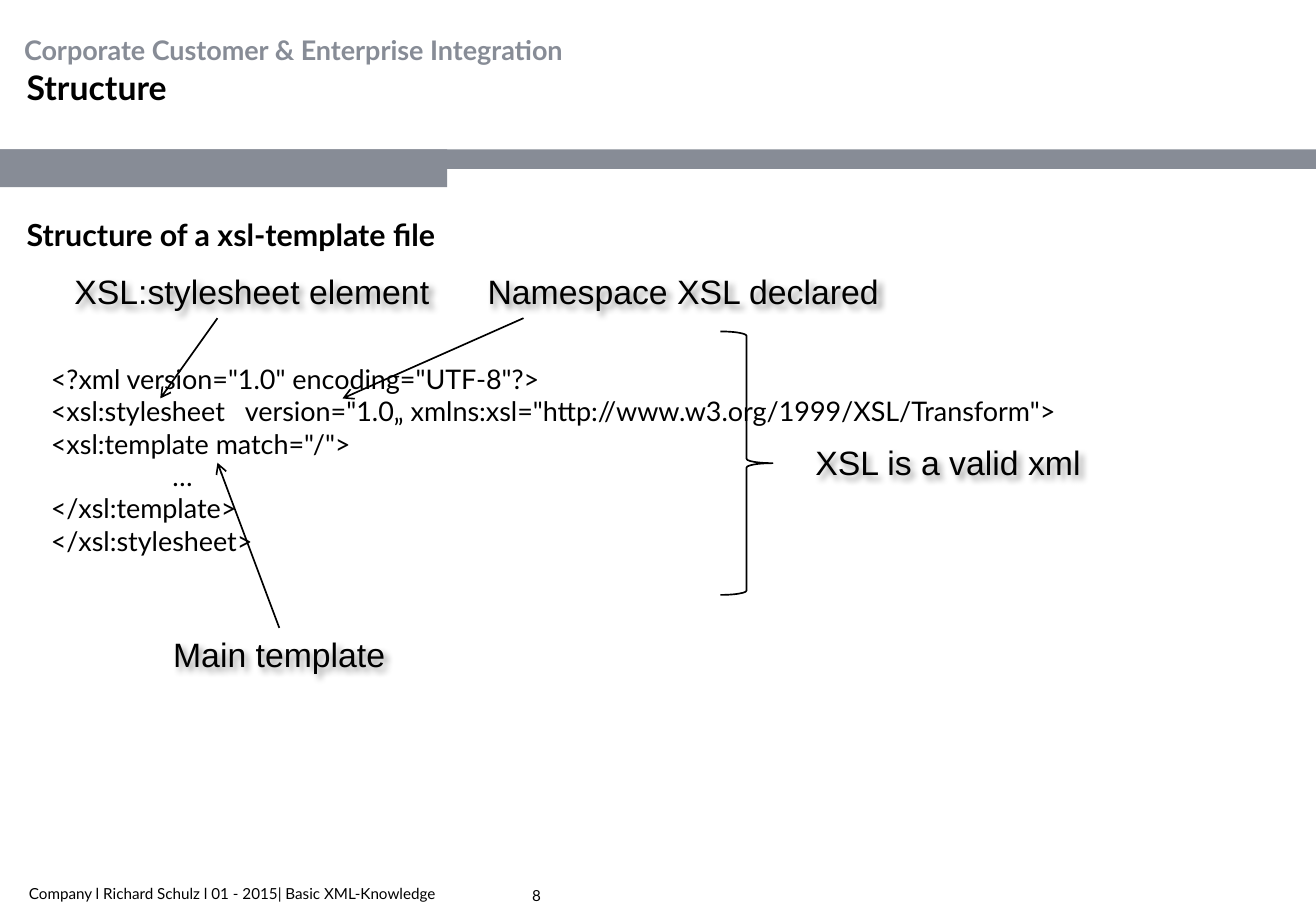
from lxml import etree
from pptx import Presentation
from pptx.dml.color import RGBColor
from pptx.enum.shapes import MSO_CONNECTOR, MSO_SHAPE
from pptx.enum.text import MSO_ANCHOR, PP_ALIGN
from pptx.oxml.ns import qn
from pptx.util import Pt

RECT, BRACE = MSO_SHAPE.RECTANGLE, MSO_SHAPE.RIGHT_BRACE
LINE = MSO_CONNECTOR.STRAIGHT
MIDDLE, CENTER = MSO_ANCHOR.MIDDLE, PP_ALIGN.CENTER
GREY, BLACK = RGBColor(0x87, 0x8C, 0x96), RGBColor(0, 0, 0)
WIDE, HIGH = 780, 540

# Content: boxes as left, top, width, height
BARS = [(0, 88.6, WIDE, 11.5), (0, 88.6, 265, 22.4)]
DEPT = "Corporate Customer & Enterprise Integration"
TITLE = "Structure"
HEAD = "Structure of a xsl-template file"
CODE = [
    '<?xml version="1.0" encoding="UTF-8"?>',
    '<xsl:stylesheet   version="1.0„ xmlns:xsl="http://www.w3.org/1999/XSL/Transform">',
    '<xsl:template match="/">',
    "…",
    "</xsl:template>",
    "</xsl:stylesheet>",
]
FOOTER = "Company l Richard Schulz l 01 - 2015| Basic XML-Knowledge"
PAGE = "8"
LABELS = {
    "XSL is a valid xml": (475.2, 258.5, 173.5, 31.5),
    "XSL:stylesheet element": (33.8, 157, 231.1, 31.5),
    "Namespace XSL declared": (280.8, 157, 248.4, 31.5),
    "Main template": (95, 372.2, 141.1, 31.5),
}
BRACKET = (427, 196.5, 31, 156.2)
# Arrows: from x, y, to x, y
ARROWS = [
    (165.6, 372.2, 128.9, 274.3),
    (128.9, 188.6, 95, 236.2),
    (310.3, 188.6, 203, 236.2),
]
STEP, DEEP = 14.4, 86.4  # indents of code and of its inner line

prs = Presentation()
prs.slide_width, prs.slide_height = Pt(WIDE), Pt(HIGH)
slide = prs.slides.add_slide(prs.slide_layouts[6])
shapes = slide.shapes


def style(par, size, name="Lato", color=BLACK, bold=False):
    font = par.font
    font.size, font.name, font.bold = Pt(size), name, bold
    font.color.rgb = color


def add_text(box, text, size, wrap=False, inset=True, **look):
    shape = shapes.add_textbox(*map(Pt, box))
    frame = shape.text_frame
    frame.word_wrap = wrap
    if not inset:
        frame.margin_left = frame.margin_right = 0
        frame.margin_top = frame.margin_bottom = 0
    par = frame.paragraphs[0]
    par.text = text
    style(par, size, **look)
    return shape


def add_glow(shape):
    """Soft shadow below the letters of an unfilled box."""
    effects = etree.SubElement(shape._element.spPr, qn("a:effectLst"))
    shade = etree.SubElement(effects, qn("a:outerShdw"), blurRad="50800",
                             dist="38100", dir="2700000", algn="tl")
    tint = etree.SubElement(shade, qn("a:srgbClr"), val=str(BLACK))
    etree.SubElement(tint, qn("a:alpha"), val="40000")


# Header bars
for box in BARS:
    bar = shapes.add_shape(RECT, *map(Pt, box))
    bar.shadow.inherit = False
    bar.fill.solid()
    bar.fill.fore_color.rgb = GREY
    bar.line.fill.background()

# Titles and footer
add_text((7.2, 16.6, 360, 26.6), DEPT, 16, color=GREY, bold=True)
add_text((15.8, 39.6, 533, 51), TITLE, 20, True, False, bold=True)
add_text((10.1, 520.6, 278.6, 18), FOOTER, 9)
page = add_text((315.4, 527, 149.8, 7.2), PAGE, 9, inset=False)
page.text_frame.vertical_anchor = MIDDLE

# Heading and code
body = add_text((15.8, 128.2, 748.8, 386), HEAD, 18, True, False, bold=True)
for i, line in enumerate(CODE):
    par = body.text_frame.add_paragraph()
    par.text = line
    indent = DEEP if line == "…" else STEP
    par._p.get_or_add_pPr().set("marL", str(Pt(indent)))
    par.space_before = Pt(0 if i else 65)
    style(par, 16)

# Labels
notes = {}
for text, box in LABELS.items():
    notes[text] = add_text(box, text, 20, name="Arial")
    notes[text].text_frame.paragraphs[0].alignment = CENTER
    add_glow(notes[text])

# Brace
brace = shapes.add_shape(BRACE, *map(Pt, BRACKET))
brace.shadow.inherit = False
brace.fill.background()
brace.line.color.rgb = BLACK
brace.line.width = Pt(1)

# Arrows
arrows = []
for ends in ARROWS:
    arrow = shapes.add_connector(LINE, *map(Pt, ends))
    arrow.line.color.rgb = BLACK
    arrow.line.width = Pt(1)
    etree.SubElement(arrow.line._get_or_add_ln(), qn("a:tailEnd"), type="arrow")
    etree.SubElement(arrow._element.spPr, qn("a:effectLst"))
    arrows.append(arrow)
arrows[0].begin_connect(notes["Main template"], 0)

prs.save("out.pptx")
